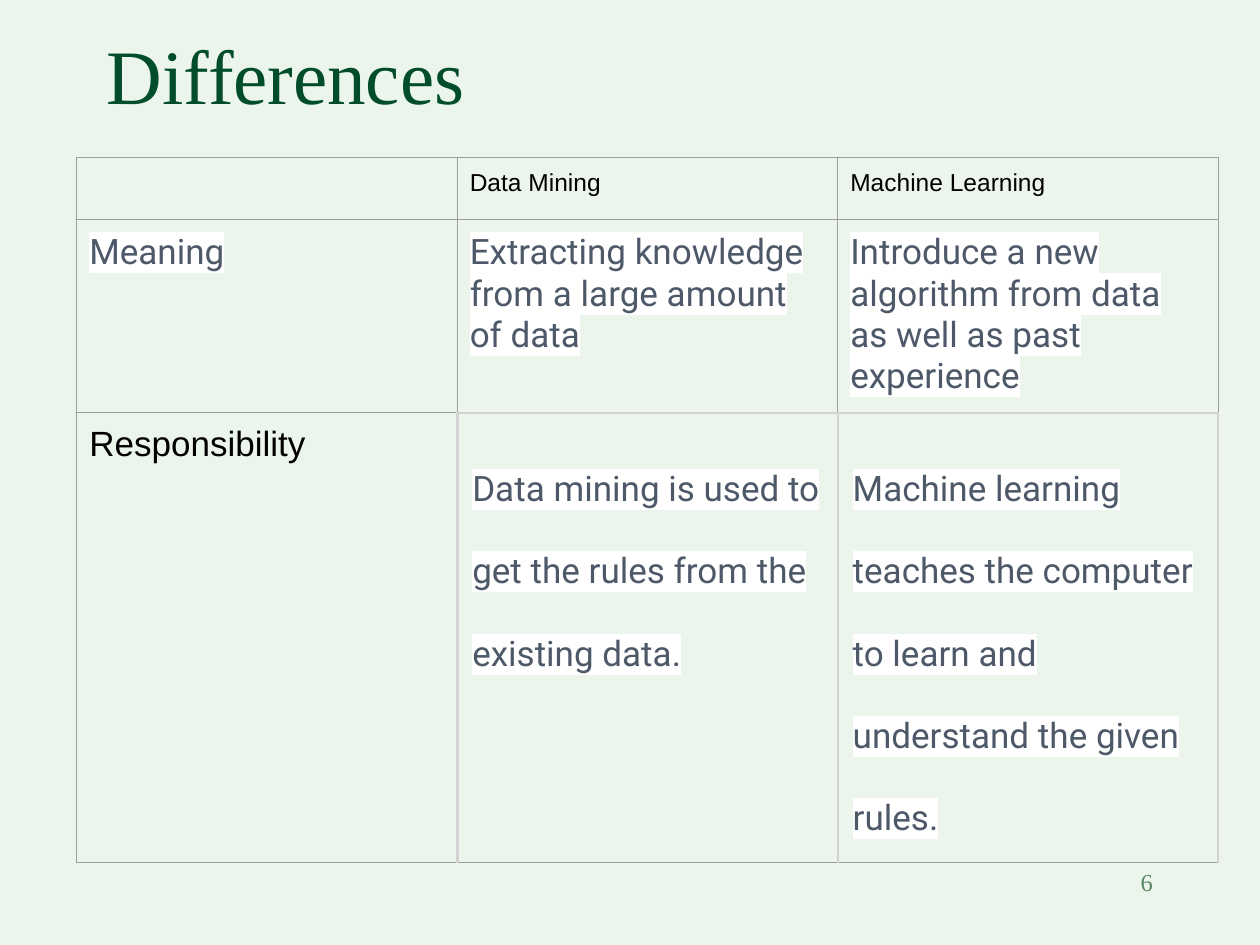
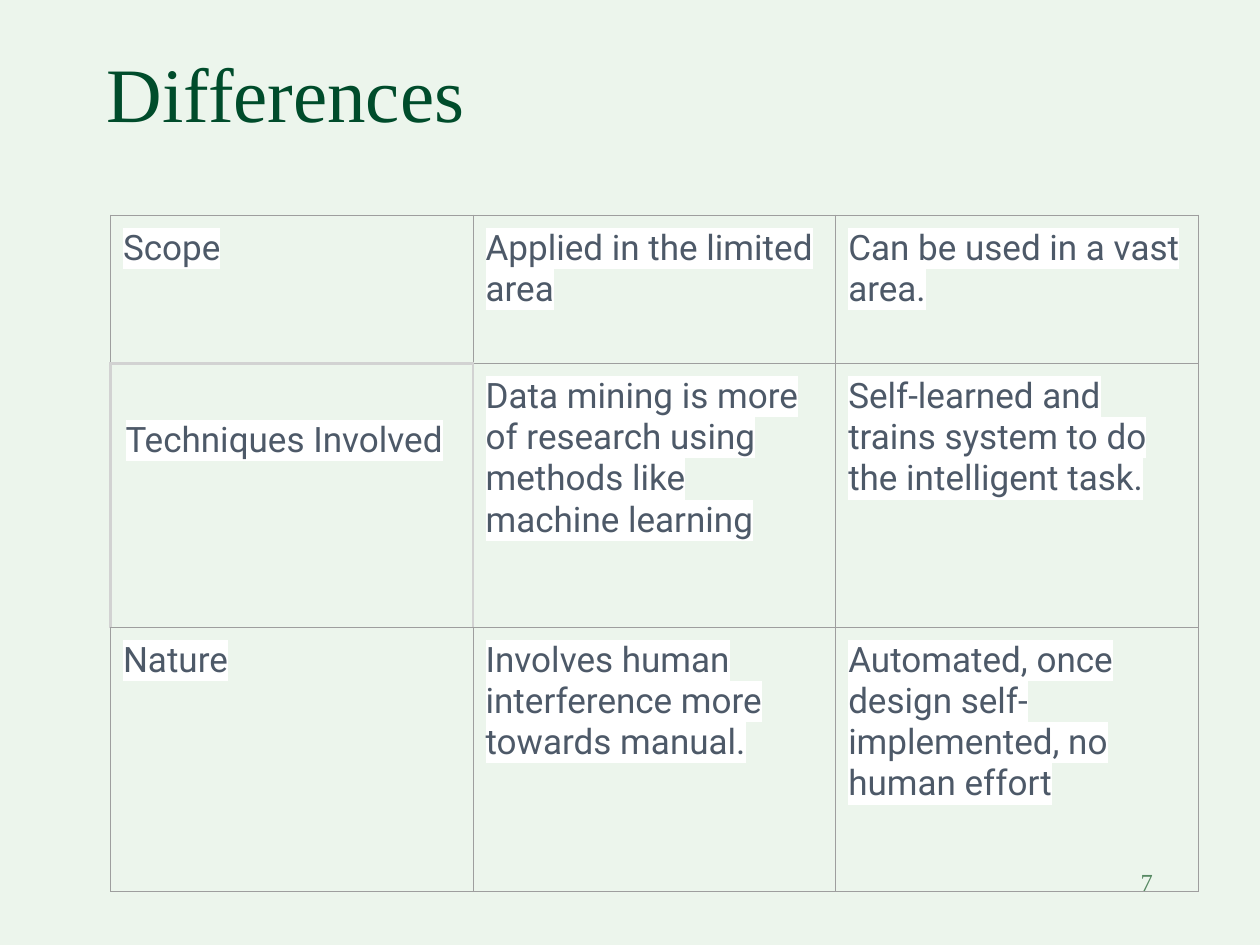
from lxml import etree
from pptx import Presentation
from pptx.dml.color import RGBColor
from pptx.enum import text
from pptx.oxml.ns import qn
from pptx.util import Cm, Pt

PAPER, GREEN, SAGE = "ECF5EC", "004C2B", "578963"
INK, SLATE, WHITE = "000000", "4D5968", "FFFFFF"
LINE, SOFT = ("9E9E9E", 0.75), ("D2D2D2", 1.5)
SERIF = "Times New Roman"

# Each look: size, font, colour, highlight, margin in cm, line spacing
LOOKS = {
    "head": (14, "Arial", INK, None, 0.25, None),
    "plain": (20, "Arial", INK, None, 0.25, None),
    "mark": (20, "Roboto", SLATE, WHITE, 0.25, None),
    "soft": (20, "Roboto", SLATE, WHITE, 0.3, 2.0),
}

# Lengths in cm; title is (top, height)
SLIDES = [
    dict(number=6, title=(0.79, 1.75), place=(1.55, 3.17), col=7.67, rows=(1.12, 2.92, 6.78), cells=[
        [("", "head"), ("Data Mining", "head"), ("Machine Learning", "head")],
        [("Meaning", "mark"),
         ("Extracting knowledge from a large amount of data", "mark"),
         ("Introduce a new algorithm from data as well as past experience", "mark")],
        [("Responsibility", "plain"),
         ("Data mining is used to get the rules from the existing data.", "soft"),
         ("Machine learning teaches the computer to learn and understand the given rules.", "soft")],
    ]),
    dict(number=7, title=(1.27, 1.63), place=(2.23, 4.34), col=7.31, rows=(2.99, 5.32, 5.32), cells=[
        [("Scope", "mark"), ("Applied in the limited area", "mark"),
         ("Can be used in a vast area.", "mark")],
        [("Techniques Involved", "soft"),
         ("Data mining is more of research using methods like machine learning", "mark"),
         ("Self-learned and trains system to do the intelligent task.", "mark")],
        [("Nature", "mark"), ("Involves human interference more towards manual.", "mark"),
         ("Automated, once design self-implemented, no human effort", "mark")],
    ]),
]


def tint(code):
    return RGBColor.from_string(code)


def apply(item, **values):
    for name, value in values.items():
        setattr(item, name, value)


def write(frame, words, size, font, color, align=text.PP_ALIGN.LEFT):
    para = frame.paragraphs[0]
    para.alignment = align
    run = para.add_run()
    run.text = words
    apply(run.font, size=Pt(size), name=font, bold=False)
    run.font.color.rgb = tint(color)
    return run


def mark(run, color):
    """Put a highlight behind the run."""
    props = run.font._element
    light = etree.Element(qn("a:highlight"))
    etree.SubElement(light, qn("a:srgbClr"), val=color)
    props.find(qn("a:solidFill")).addnext(light)


def edges(cells, row, col):
    """Soft cells are soft on three sides, and pass that on to their neighbours."""
    def soft(r, c):
        return 0 <= r < len(cells) and 0 <= c < len(cells[r]) and cells[r][c][1] == "soft"

    here = soft(row, col)
    sides = {"L": here or soft(row, col - 1), "R": here or soft(row, col + 1),
             "T": here, "B": soft(row + 1, col)}
    return {side: SOFT if is_soft else LINE for side, is_soft in sides.items()}


def border(cell, sides):
    props = cell._tc.get_or_add_tcPr()
    for spot, (side, (color, width)) in enumerate(sides.items()):
        line = etree.Element(qn("a:ln" + side), w=str(Pt(width)))
        fill = etree.SubElement(line, qn("a:solidFill"))
        etree.SubElement(fill, qn("a:srgbClr"), val=color)
        props.insert(spot, line)


def fill_cell(cell, words, look, sides):
    size, font, color, light, gap, space = LOOKS[look]
    apply(cell, **{"margin_" + side: Cm(gap) for side in ("left", "top", "right", "bottom")})
    cell.fill.background()
    border(cell, sides)
    if words:
        run = write(cell.text_frame, words, size, font, color)
        if light:
            mark(run, light)
        if space:
            cell.text_frame.paragraphs[0].line_spacing = space


def add_grid(slide, place, col, rows, cells):
    count = len(cells[0])
    left, top = place
    table = slide.shapes.add_table(len(rows), count, Cm(left), Cm(top),
                                   Cm(col * count), Cm(sum(rows))).table
    apply(table, first_row=False, horz_banding=False)
    for column in table.columns:
        column.width = Cm(col)
    for r, height in enumerate(rows):
        table.rows[r].height = Cm(height)
        for c, (words, look) in enumerate(cells[r]):
            fill_cell(table.cell(r, c), words, look, edges(cells, r, c))


def add_slide(deck, number, title, **grid):
    slide = deck.slides.add_slide(deck.slide_layouts[5])
    head = slide.shapes.title
    top, height = title
    apply(head, left=Cm(1.9), top=Cm(top), width=Cm(21.59), height=Cm(height))
    apply(head.text_frame, vertical_anchor=text.MSO_ANCHOR.BOTTOM,
          auto_size=text.MSO_AUTO_SIZE.NONE, word_wrap=True)
    write(head.text_frame, "Differences", 44, SERIF, GREEN)
    foot = slide.shapes.add_textbox(Cm(18.21), Cm(17.35), Cm(5.28), Cm(1.27)).text_frame
    foot.word_wrap = True
    write(foot, str(number), 14, SERIF, SAGE, text.PP_ALIGN.RIGHT)
    add_grid(slide, **grid)


def main():
    deck = Presentation()
    apply(deck, slide_width=Cm(25.4), slide_height=Cm(19.05))
    paper = deck.slide_master.background.fill
    paper.solid()
    paper.fore_color.rgb = tint(PAPER)
    for page in SLIDES:
        add_slide(deck, **page)
    deck.save("out.pptx")


if __name__ == "__main__":
    main()
